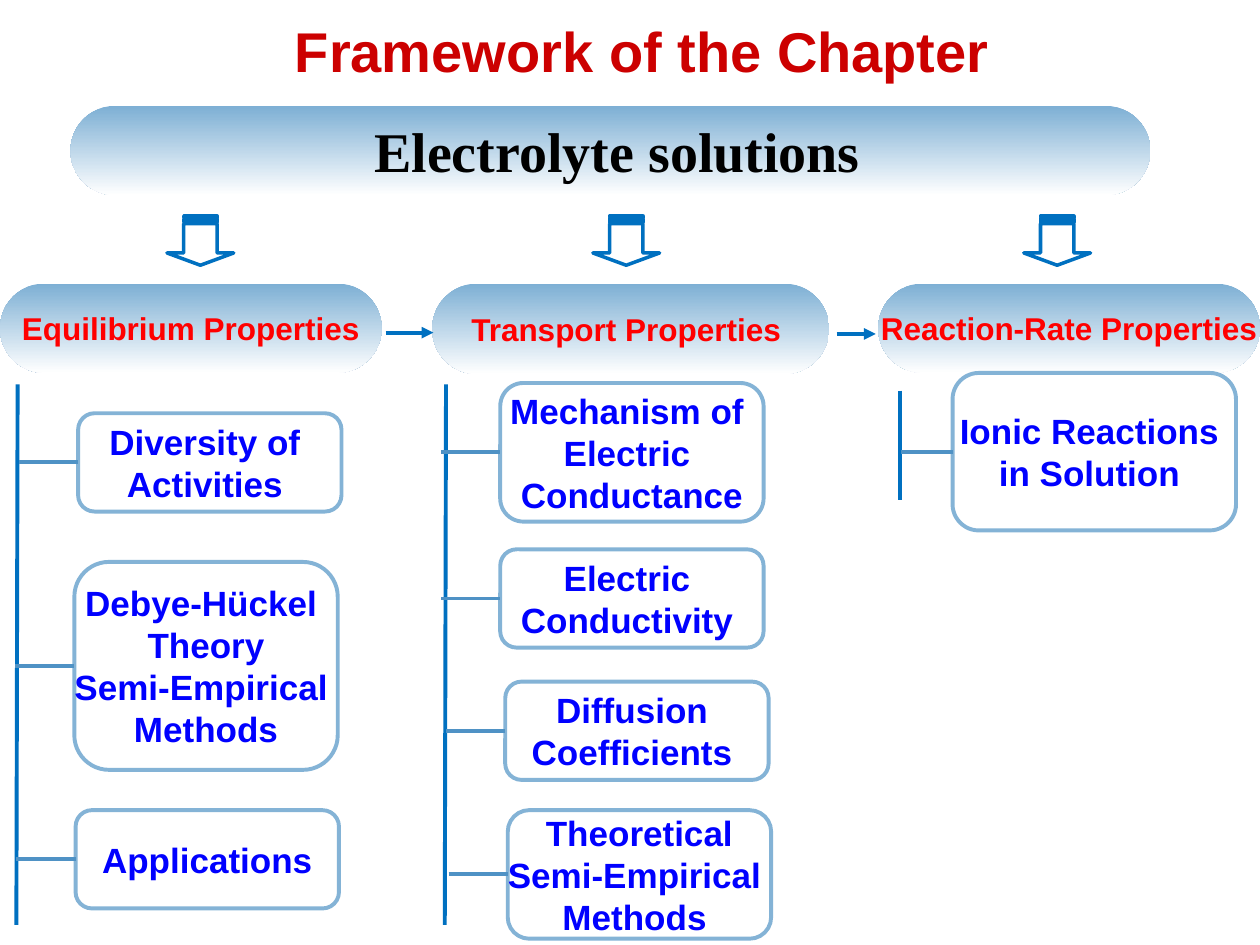
from dataclasses import dataclass

from lxml.etree import SubElement
from pptx import Presentation
from pptx.dml.color import RGBColor
from pptx.enum.shapes import MSO_CONNECTOR as Connector, MSO_SHAPE as Shape
from pptx.enum.text import MSO_ANCHOR as Anchor, PP_ALIGN as Align
from pptx.oxml.ns import qn
from pptx.util import Inches, Pt


@dataclass(frozen=True)
class Theme:
    """Colours, fonts and type sizes."""
    title: str = "CC0000"
    banner: str = "000000"
    topic: str = "FF0000"
    item: str = "0000FF"
    white: str = "FFFFFF"
    gradient: str = "7DAFD4"
    border: str = "84B3D6"
    stub: str = "4F92C5"
    line: str = "0070C0"
    sans: str = "Arial"
    serif: str = "Times New Roman"
    title_size: int = 32
    topic_size: int = 18
    item_size: int = 20
    line_width: float = 2.25
    arrow_width: float = 2


THEME = Theme()

TITLE = "Framework of the Chapter"
BANNER = "Electrolyte solutions"
BANNER_AT = (0.56, 0.84, 8.57, 0.71)
# Items: lines of text, left, top, height
COLUMNS = [
    {"topic": " Equilibrium Properties ", "at": (0, 2.25, 3.03, 0.71),
     "spine": (0.14, 3.05, 0.13, 7.34), "arrow": (1.59, 1.91),
     "item_width": 2.09, "stub": 0.47,
     "items": [
         (["Diversity of ", "Activities "], 0.62, 3.28, 0.78),
         (["Debye-Hückel ", "Theory", "Semi-Empirical ", "Methods"], 0.59, 4.46, 1.65),
         (["Applications"], 0.6, 6.43, 0.78)]},
    {"topic": "Transport Properties ", "at": (3.43, 2.25, 3.15, 0.72),
     "spine": (3.54, 3.05, 3.53, 7.34), "arrow": (4.97, 1.91),
     "item_width": 2.09, "stub": 0.47,
     "items": [
         (["Mechanism of ", "Electric ", "Conductance"], 3.97, 3.04, 1.1),
         (["Electric ", "Conductivity "], 3.97, 4.36, 0.78),
         (["Diffusion ", "Coefficients "], 4.01, 5.41, 0.78),
         (["Theoretical", "Semi-Empirical ", "Methods "], 4.03, 6.43, 1.02)]},
    {"topic": "Reaction-Rate Properties", "at": (6.97, 2.25, 3.03, 0.71),
     "spine": (7.14, 3.1, 7.14, 3.97), "arrow": (8.39, 1.91),
     "item_width": 2.25, "stub": 0.41,
     "items": [(["Ionic Reactions ", "in Solution "], 7.56, 2.96, 1.25)]},
]
TOPIC_LINKS = [(3.06, 2.64, 3.44, 2.64), (6.64, 2.65, 6.95, 2.65)]
ARROW_LENGTH, ARROW_BREADTH = 0.39, 0.53


def color(value):
    """Turn a hex string into a colour."""
    return RGBColor.from_string(value)


def add_run(paragraph, text, size, hue, font=THEME.sans):
    """Add one bold run."""
    run = paragraph.add_run()
    run.text = text
    run.font.size, run.font.name, run.font.bold = Pt(size), font, True
    run.font.color.rgb = color(hue)


def add_block(slide, kind, at, adjustments):
    """Add a preset shape without shadow."""
    shape = slide.shapes.add_shape(kind, *map(Inches, at))
    shape.shadow.inherit = False
    for index, value in enumerate(adjustments):
        shape.adjustments[index] = value
    return shape


def add_outline(shape, hue, width):
    """Give a shape a white fill and a coloured outline."""
    shape.fill.solid()
    shape.fill.fore_color.rgb = color(THEME.white)
    shape.line.color.rgb = color(hue)
    shape.line.width = Pt(width)


def add_text(shape, lines, size, hue, font=THEME.sans):
    """Write centred lines, one paragraph each."""
    frame = shape.text_frame
    frame.word_wrap = False
    frame.vertical_anchor = Anchor.MIDDLE
    for index, line in enumerate(lines):
        paragraph = frame.add_paragraph() if index else frame.paragraphs[0]
        paragraph.alignment = Align.CENTER
        add_run(paragraph, line, size, hue, font)


def add_pill(slide, at, text, size, hue, font=THEME.sans):
    """Add a fully rounded heading that fades to white downwards."""
    shape = add_block(slide, Shape.ROUNDED_RECTANGLE, at, [0.5])
    shape.fill.gradient()
    shape.fill.gradient_angle = 270
    stops = zip(shape.fill.gradient_stops, (THEME.gradient, THEME.white))
    for position, (stop, stop_color) in enumerate(stops):
        stop.position = position
        stop.color.rgb = color(stop_color)
    shape.line.fill.background()
    add_text(shape, [text], size, hue, font)


def add_line(slide, ends, hue, arrow=False):
    """Add a straight line, with an arrowhead if asked."""
    line = slide.shapes.add_connector(Connector.STRAIGHT, *map(Inches, ends))
    line.line.color.rgb = color(hue)
    line.line.width = Pt(THEME.line_width)
    if arrow:
        SubElement(line.line._get_or_add_ln(), qn("a:tailEnd"), type="triangle")
    SubElement(line._element.spPr, qn("a:effectLst"))


def add_down_arrow(slide, center):
    """Add a striped arrow, turned to point down."""
    x, y = center
    at = (x - ARROW_LENGTH / 2, y - ARROW_BREADTH / 2, ARROW_LENGTH, ARROW_BREADTH)
    arrow = add_block(slide, Shape.STRIPED_RIGHT_ARROW, at, [0.5, 0.25])
    arrow.rotation = 90
    add_outline(arrow, THEME.line, THEME.arrow_width)


def add_column(slide, column):
    """Add a topic with its arrow, spine and items."""
    add_pill(slide, column["at"], column["topic"], THEME.topic_size, THEME.topic)
    add_down_arrow(slide, column["arrow"])
    add_line(slide, column["spine"], THEME.line)
    for lines, left, top, height in column["items"]:
        box = add_block(slide, Shape.ROUNDED_RECTANGLE,
                        (left, top, column["item_width"], height), [0.167])
        add_outline(box, THEME.border, THEME.line_width)
        add_text(box, lines, THEME.item_size, THEME.item)
        middle = top + height / 2
        add_line(slide, (left - column["stub"], middle, left, middle), THEME.stub)


def add_title(slide):
    """Place and format the title placeholder."""
    title = slide.shapes.title
    title.left, title.top, title.width, title.height = map(Inches, (2.24, 0, 5.75, 0.79))
    title.text_frame.vertical_anchor = Anchor.MIDDLE
    paragraph = title.text_frame.paragraphs[0]
    paragraph.alignment = Align.LEFT
    add_run(paragraph, TITLE, THEME.title_size, THEME.title)


def main():
    """Build and save the slide."""
    presentation = Presentation()
    presentation.slide_width, presentation.slide_height = Inches(10), Inches(7.5)
    slide = presentation.slides.add_slide(presentation.slide_layouts[5])
    add_title(slide)
    add_pill(slide, BANNER_AT, " " + BANNER, THEME.title_size, THEME.banner, THEME.serif)
    for column in COLUMNS:
        add_column(slide, column)
    for ends in TOPIC_LINKS:
        add_line(slide, ends, THEME.line, arrow=True)
    presentation.save("out.pptx")


main()
